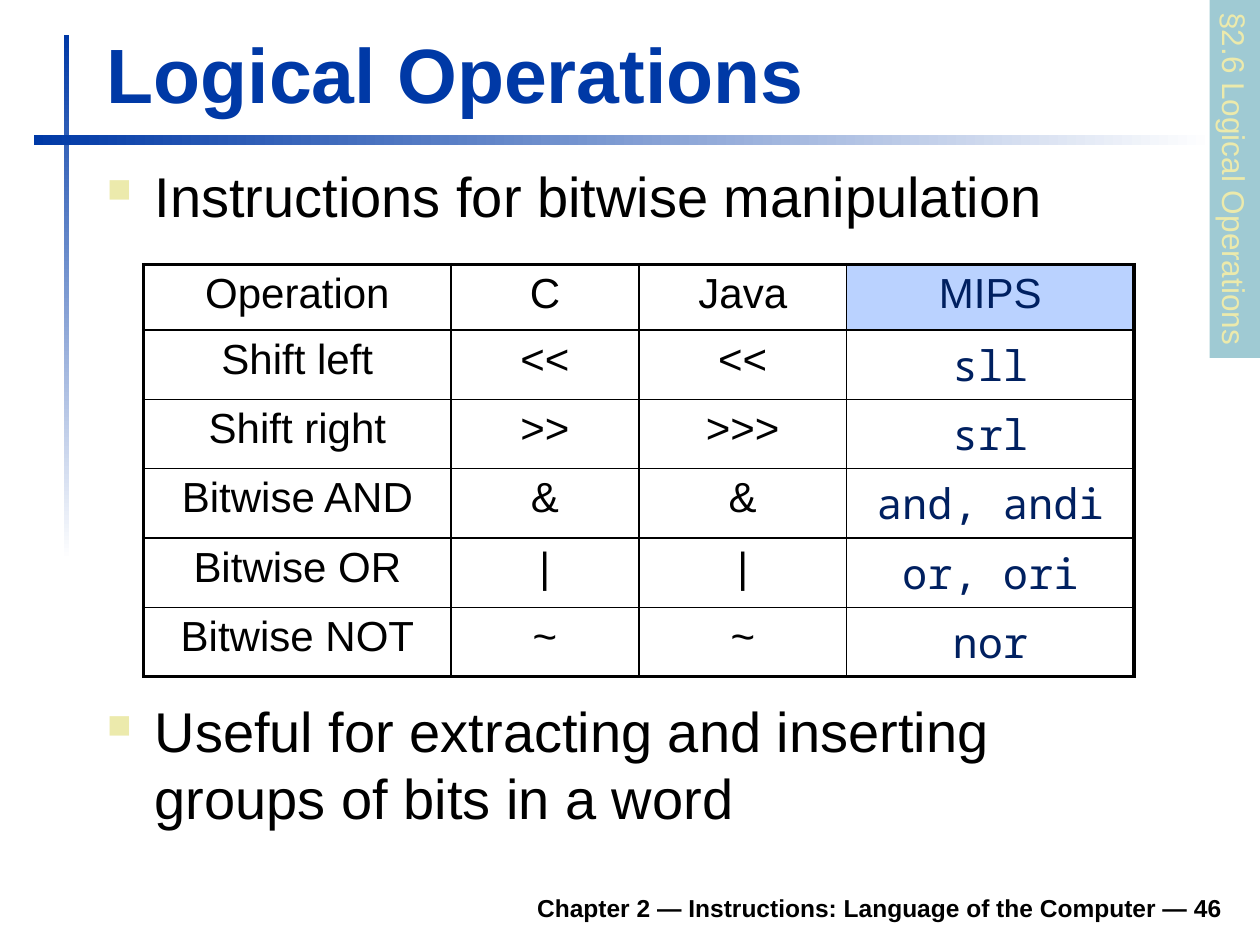
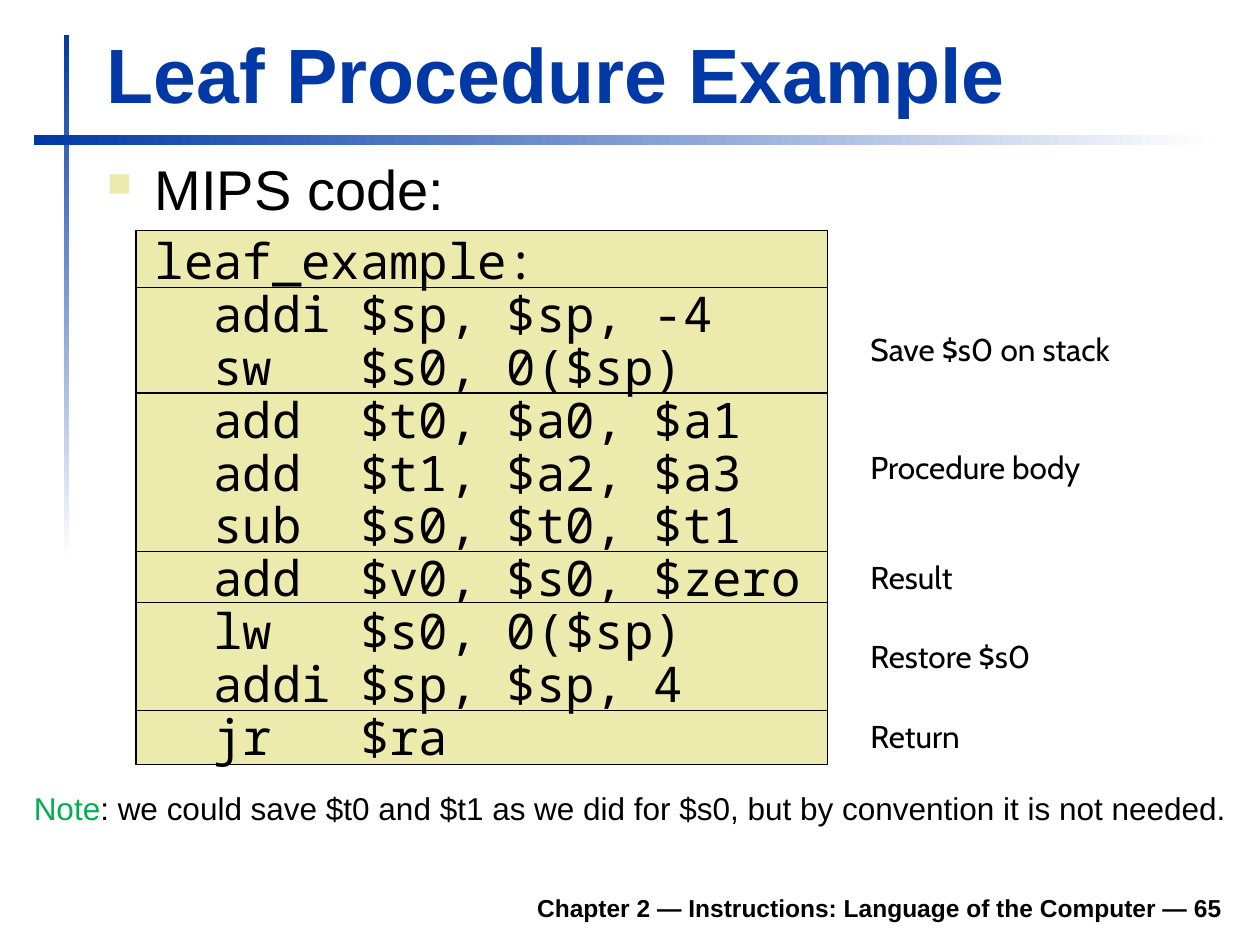
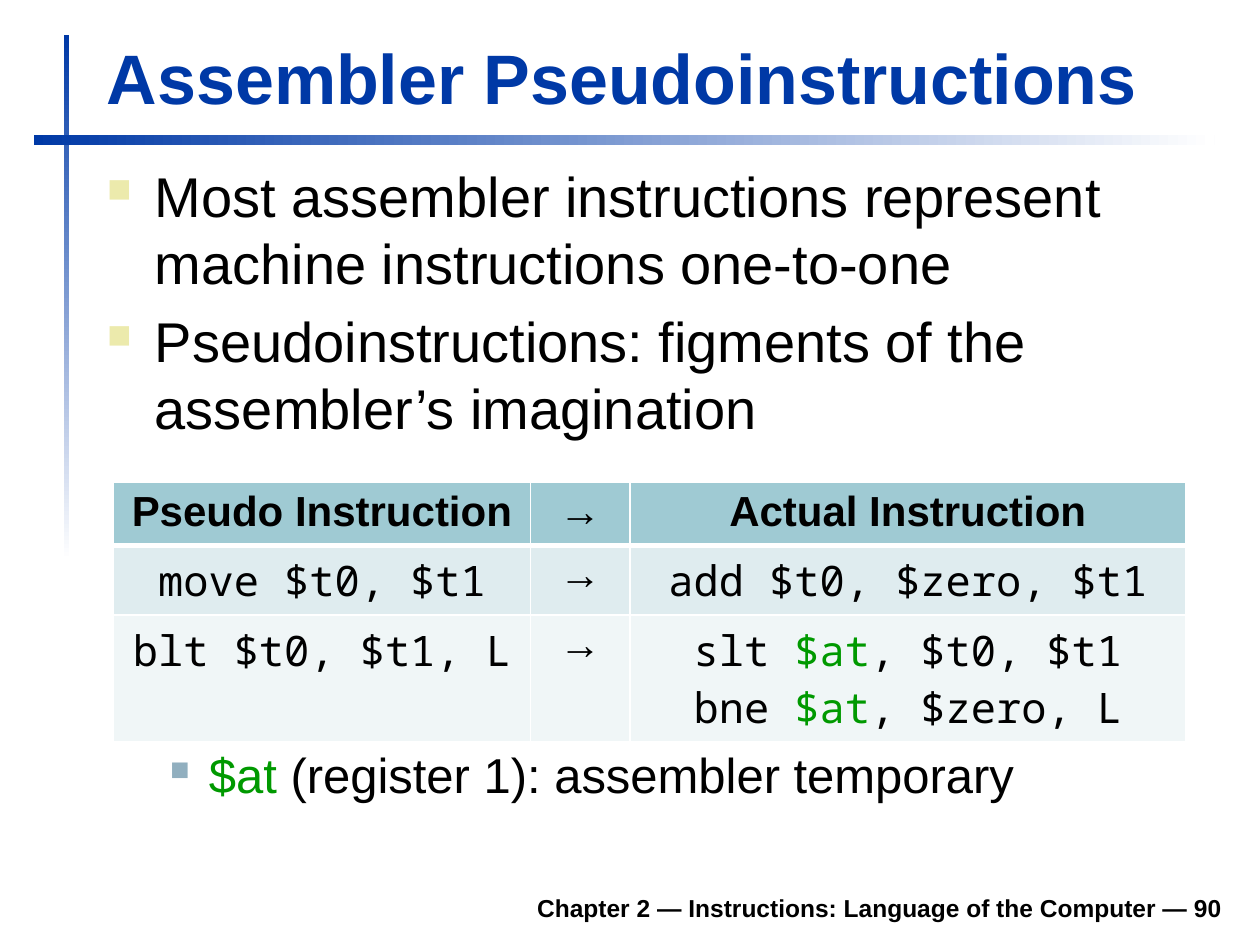
from dataclasses import dataclass
from lxml.etree import SubElement as Sub
from pptx import Presentation
from pptx.dml.color import RGBColor as Rgb
from pptx.enum.shapes import MSO_SHAPE as Kind
from pptx.enum.text import MSO_ANCHOR as Anchor, PP_ALIGN as Align
from pptx.oxml.ns import qn
from pptx.util import Inches, Pt


@dataclass(frozen=True)
class Theme:
    """Colours, fonts and type sizes of the deck."""
    blue: str = "0039A6"
    black: str = "000000"
    white: str = "FFFFFF"
    sand: str = "ECEAAC"
    teal: str = "9FCAD3"
    steel: str = "91AFBF"
    navy: str = "002060"
    sky: str = "BAD2FF"
    leaf: str = "009900"
    note: str = "00B050"
    pale: tuple = ("DFECEF", "F0F6F7")
    sans: str = "Arial"
    mono: str = "Noto Sans Mono"
    hand: str = "Cabin"
    title: int = 44
    body: int = 32
    sub: int = 28
    cell: int = 24
    label: int = 18
    foot: int = 14
    lead: float = 1.2


T = Theme()


def style(run, size, color=T.black, font=T.sans, bold=False):
    """Format one run."""
    run.font.size, run.font.name, run.font.bold = Pt(size), font, bold
    run.font.color.rgb = Rgb.from_string(color)


def write(para, text, size, **look):
    """Set a paragraph's text and format it."""
    para.text = text
    for run in para.runs:
        style(run, size, **look)


def mix(para, parts, size, **look):
    """Fill a paragraph with (text, colour) parts."""
    for text, color in parts:
        run = para.add_run()
        run.text = text
        style(run, size, color=color, **look)


def box(slide, at, anchor=Anchor.TOP, wrap=True):
    """Add a text box and return its frame."""
    frame = slide.shapes.add_textbox(*map(Inches, at)).text_frame
    frame.word_wrap, frame.vertical_anchor = wrap, anchor
    return frame


def rect(slide, at, color, line=None):
    """Add a flat rectangle."""
    shape = slide.shapes.add_shape(Kind.RECTANGLE, *map(Inches, at))
    shape.shadow.inherit = False
    shape.fill.solid()
    shape.fill.fore_color.rgb = Rgb.from_string(color)
    if line:
        shape.line.color.rgb = Rgb.from_string(line)
        shape.line.width = Pt(0.75)
    else:
        shape.line.fill.background()
    return shape


def fade(slide, at, angle):
    """Add a bar that fades from blue to white."""
    fill = rect(slide, at, T.blue).fill
    fill.gradient()
    fill.gradient_angle = angle
    for stop, color in zip(fill.gradient_stops, (T.blue, T.white)):
        stop.color.rgb = Rgb.from_string(color)


def indent(para, left, hang=0):
    """Set the left margin and the hanging indent."""
    props = para._p.get_or_add_pPr()
    props.set("marL", str(Inches(left)))
    props.set("indent", str(-Inches(hang)))
    return props


def bullet(para, size, left=0.38, hang=0.38, color=T.sand, scale=60, lead=T.lead):
    """Give a paragraph a square bullet and fixed leading."""
    props = indent(para, left, hang)
    tint = Sub(props, qn("a:buClr"))
    Sub(tint, qn("a:srgbClr"), val=color)
    Sub(props, qn("a:buSzPct"), val=str(scale * 1000))
    Sub(props, qn("a:buChar"), char="■")
    para.line_spacing = Pt(round(size * lead, 1))


def points(slide, at, items, lead=T.lead):
    """Add a box of main bullets and return its frame."""
    frame = box(slide, at)
    for i, text in enumerate(items):
        para = frame.add_paragraph() if i else frame.paragraphs[0]
        bullet(para, T.body, lead=lead)
        if i:
            para.space_before = Pt(T.body * 0.2)
        write(para, text, T.body)
    return frame


def edge(cell, color, widths):
    """Draw the left, right, top and bottom borders of a cell."""
    props = cell._tc.get_or_add_tcPr()
    for side, width in zip("LRTB", widths):
        line = Sub(props, qn("a:ln" + side), w=str(Pt(width)))
        fill = Sub(line, qn("a:solidFill"))
        Sub(fill, qn("a:srgbClr"), val=color)


def grid(slide, left, top, cols, rows):
    """Add a plain table with the given column and row sizes."""
    at = map(Inches, (left, top, sum(cols), sum(rows)))
    table = slide.shapes.add_table(len(rows), len(cols), *at).table
    table.first_row = table.horz_banding = False
    for col, width in zip(table.columns, cols):
        col.width = Inches(width)
    for row, height in zip(table.rows, rows):
        row.height = Inches(height)
    return table


def paint(cell, color):
    """Fill a cell."""
    cell.fill.solid()
    cell.fill.fore_color.rgb = Rgb.from_string(color)


def start(deck, title, page, size=T.title):
    """Add a slide with its bars, title and footer."""
    slide = deck.slides.add_slide(deck.slide_layouts[6])
    fade(slide, (0.51, 0.28, 0.04, 4.17), 270)
    fade(slide, (0.27, 1.07, 9.37, 0.08), 0)
    foot = box(slide, (1.85, 6.98, 7.95, 0.39), Anchor.BOTTOM).paragraphs[0]
    foot.alignment = Align.RIGHT
    text = f"Chapter 2 — Instructions: Language of the Computer — {page}"
    write(foot, text, T.foot, bold=True)
    head = box(slide, (0.75, 0.16, 9.03, 0.83), Anchor.BOTTOM)
    write(head.paragraphs[0], title, size, color=T.blue, bold=True)
    return slide


def ops(slide):
    """Add the table of bitwise operations."""
    data = [
        ("Operation", "C", "Java", "MIPS"),
        ("Shift left", "<<", "<<", "sll"),
        ("Shift right", ">>", ">>>", "srl"),
        ("Bitwise AND", "&", "&", "and, andi"),
        ("Bitwise OR", "|", "|", "or, ori"),
        ("Bitwise NOT", "~", "~", "nor"),
    ]
    table = grid(slide, 1.14, 2.1, (2.44, 1.49, 1.65, 2.28), [0.52] + [0.55] * 5)
    for r, row in enumerate(data):
        for c, text in enumerate(row):
            cell, last = table.cell(r, c), c == 3
            para = cell.text_frame.paragraphs[0]
            para.alignment = Align.CENTER
            write(para, text, T.cell, color=T.navy if last else T.black,
                  font=T.mono if last and r else T.sans)
            edge(cell, T.black, (
                2.25 if c == 0 else 1, 2.25 if last else 1,
                {0: 2.25, 1: 1.5}.get(r, 1), {0: 1.5, 5: 2.25}.get(r, 1)))
            if last and r == 0:
                paint(cell, T.sky)
            else:
                cell.fill.background()


def logic(deck):
    """Build the slide on logical operations."""
    slide = start(deck, "Logical Operations", 46)
    points(slide, (0.75, 1.23, 9.05, 0.76), ["Instructions for bitwise manipulation"])
    ops(slide)
    points(slide, (0.75, 5.48, 8.5, 1.18),
           ["Useful for extracting and inserting groups of bits in a word"])
    tab = rect(slide, (8.38, 1.22, 2.84, 0.4), T.teal)
    tab.rotation = 90
    tab.text_frame.word_wrap = False
    para = tab.text_frame.paragraphs[0]
    para.alignment = Align.LEFT
    write(para, "§2.6 Logical Operations", T.label, color=T.sand)


def proc(deck):
    """Build the slide on the leaf procedure."""
    slide = start(deck, "Leaf Procedure Example", 65)
    top = 1.83
    for height in (0.45, 0.84, 1.26, 0.4, 0.86, 0.43):
        rect(slide, (1.08, top, 5.49, height), T.sand, T.black)
        top += height
    lead = T.lead * 0.9
    body = points(slide, (0.75, 1.23, 9.05, 5.59), ["MIPS code:"], lead)
    code = body.add_paragraph()
    indent(code, 0.38)
    code.space_before = Pt(8.6)
    code.line_spacing = Pt(round(T.sub * lead, 1))
    lines = (
        "leaf_example:",
        "  addi $sp, $sp, -4",
        "  sw   $s0, 0($sp)",
        "  add  $t0, $a0, $a1",
        "  add  $t1, $a2, $a3",
        "  sub  $s0, $t0, $t1",
        "  add  $v0, $s0, $zero",
        "  lw   $s0, 0($sp)",
        "  addi $sp, $sp, 4",
        "  jr   $ra",
    )
    write(code, "\n".join(lines), T.sub, font=T.mono)
    labels = (
        ("Save $s0 on stack", 2.57, 2.19),
        ("Procedure body", 3.51, 1.93),
        ("Result", 4.38, 0.88),
        ("Restore $s0", 5.01, 1.5),
        ("Return", 5.64, 0.94),
    )
    for text, top, width in labels:
        frame = box(slide, (6.81, top, width, 0.4), wrap=False)
        write(frame.paragraphs[0], text, T.label, font=T.hand)
    note = box(slide, (0.17, 6.21, 9.8, 0.4)).paragraphs[0]
    mix(note, [
        ("Note", T.note),
        (": we could save $t0 and $t1 as we did for $s0, "
         "but by convention it is not needed.", T.black),
    ], T.label)


def swaps(slide):
    """Add the table of pseudo and actual instructions."""
    data = [
        ("Pseudo Instruction", "→", "Actual Instruction"),
        ("move $t0, $t1", "→", "add $t0, $zero, $t1"),
        ("blt $t0, $t1, L", "→", ""),
    ]
    table = grid(slide, 0.9, 3.83, (3.31, 0.79, 4.41), (0.5, 0.55, 1.01))
    for r, row in enumerate(data):
        for c, text in enumerate(row):
            cell = table.cell(r, c)
            para = cell.text_frame.paragraphs[0]
            para.alignment = Align.CENTER
            write(para, text, T.cell, bold=r == 0,
                  font=T.mono if r and c != 1 else T.sans)
            edge(cell, T.white, (1, 1, 3 if r == 1 else 1, 3 if r == 0 else 1))
            paint(cell, (T.teal, *T.pale)[r])
    frame = table.cell(2, 2).text_frame
    pairs = (("slt ", ", $t0, $t1"), ("bne ", ", $zero, L"))
    for para, (op, args) in zip((frame.paragraphs[0], frame.add_paragraph()), pairs):
        para.alignment = Align.CENTER
        mix(para, [(op, T.black), ("$at", T.leaf), (args, T.black)],
            T.cell, font=T.mono)


def pseudo(deck):
    """Build the slide on pseudoinstructions."""
    slide = start(deck, "Assembler Pseudoinstructions", 90, 40)
    points(slide, (0.75, 1.23, 9.05, 2.5), [
        "Most assembler instructions represent machine instructions one-to-one",
        "Pseudoinstructions: figments of the assembler’s imagination",
    ])
    swaps(slide)
    para = box(slide, (0.75, 5.86, 9.05, 0.6)).paragraphs[0]
    bullet(para, T.sub, 0.81, 0.31, T.steel, 55)
    mix(para, [("$at ", T.leaf), ("(register 1): assembler temporary", T.black)], T.sub)


def main():
    """Build and save the deck."""
    deck = Presentation()
    deck.slide_width, deck.slide_height = Inches(10), Inches(7.5)
    logic(deck)
    proc(deck)
    pseudo(deck)
    deck.save("out.pptx")


if __name__ == "__main__":
    main()
